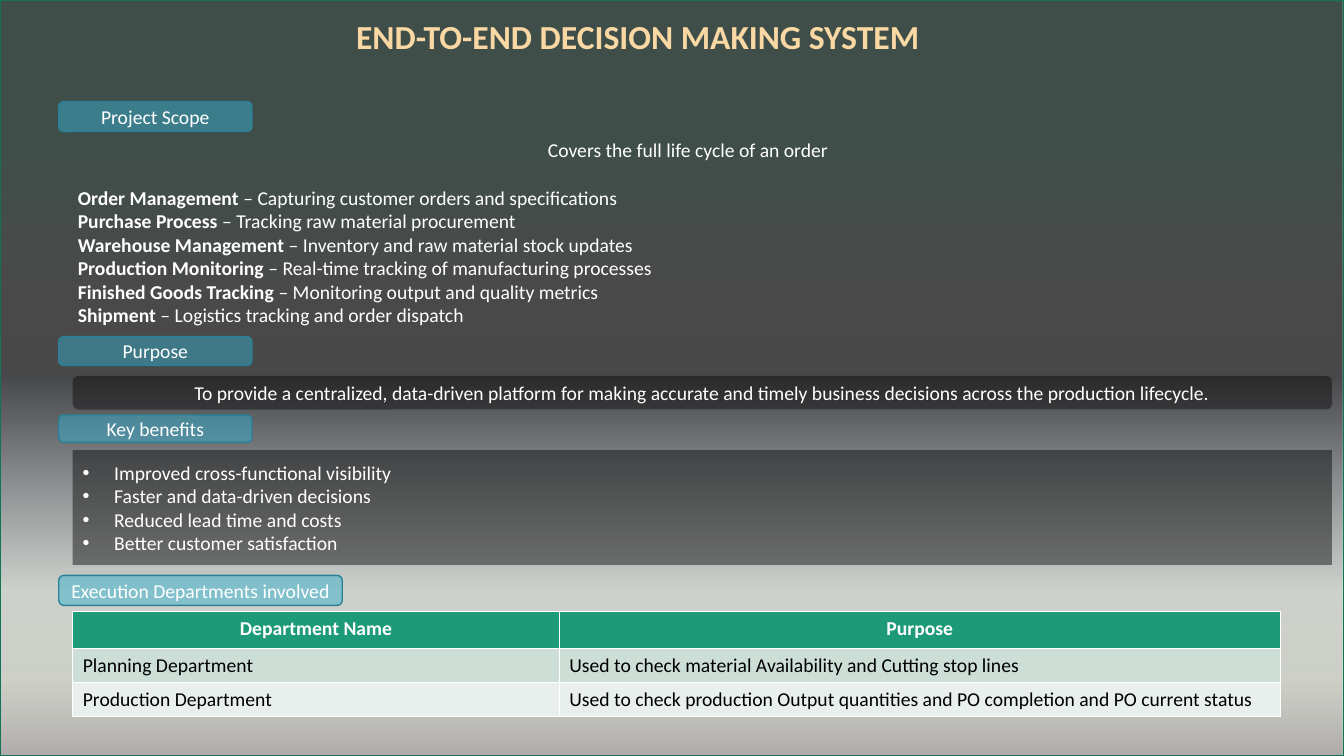
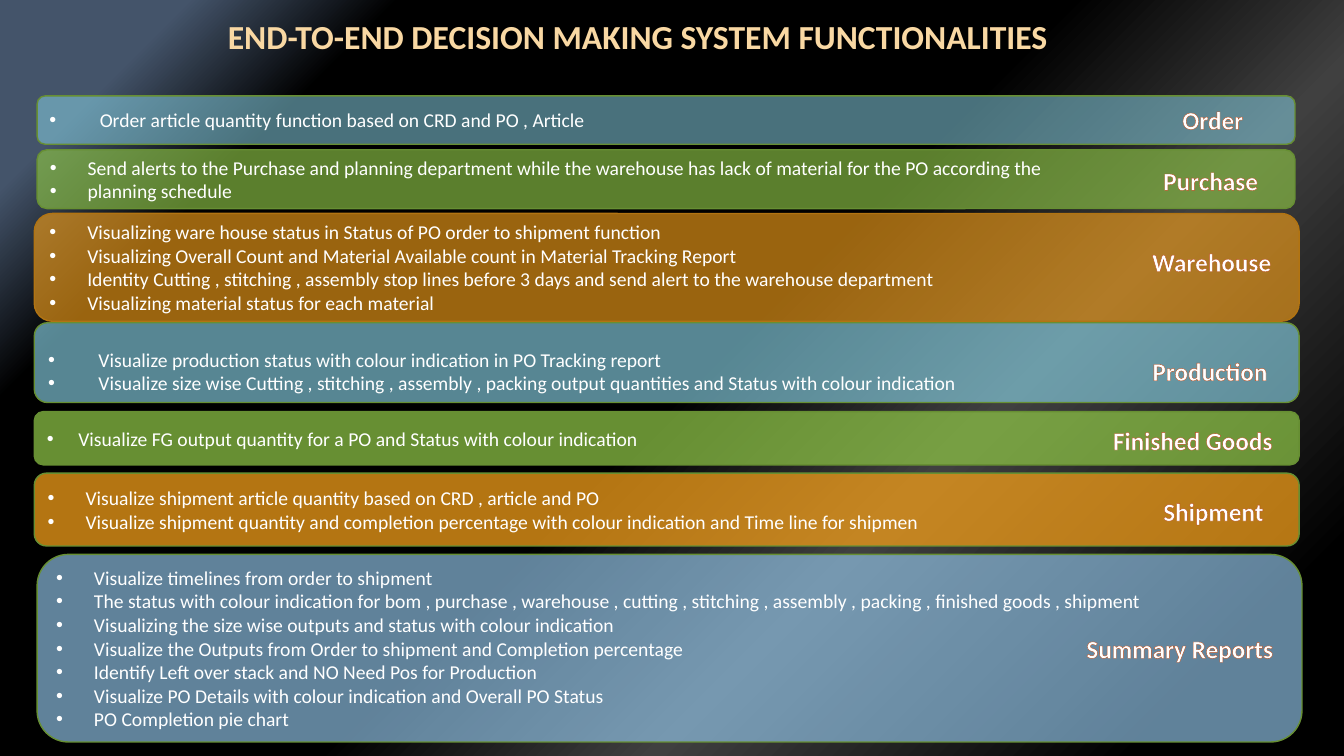
from lxml import etree
from pptx import Presentation
from pptx.dml.color import RGBColor
from pptx.enum.dml import MSO_PATTERN
from pptx.enum.shapes import MSO_SHAPE
from pptx.enum.text import MSO_ANCHOR, MSO_AUTO_SIZE, PP_ALIGN
from pptx.oxml.ns import qn
from pptx.util import Pt

RECT, ROUNDED = MSO_SHAPE.RECTANGLE, MSO_SHAPE.ROUNDED_RECTANGLE
LEFT, CENTER = PP_ALIGN.LEFT, PP_ALIGN.CENTER
TOP, MIDDLE = MSO_ANCHOR.TOP, MSO_ANCHOR.MIDDLE
HATCH = MSO_PATTERN.LIGHT_DOWNWARD_DIAGONAL

FONT = "Calibri"
WHITE, BLACK, CREAM, RED = "FFFFFF", "000000", "F9D8A3", "FF0000"
PILL, PILL_EDGE = "36AFCE", "288198"
HATCH_INK, LABEL_EDGE = "E98960", "B74919"
AQUA, GREEN, AMBER, SKY = "86CFE2", "8BC145", "F19D19", "94C8ED"
GREEN_EDGE, AMBER_EDGE = "678F33", "B27412"
SLIDE_W, SLIDE_H = 960, 540


def paint(fill, colour, alpha=100, circle=False):
    """Fill with one hex colour, a (fore, back) hatch or a list of (position, hex, alpha) stops."""
    if isinstance(colour, str):
        fill.solid()
        fill.fore_color.rgb = RGBColor.from_string(colour)
        if alpha < 100:
            tint = fill._xPr.find(qn("a:solidFill"))[0]
            etree.SubElement(tint, qn("a:alpha"), val=str(alpha * 1000))
    elif isinstance(colour, tuple):
        fill.patterned()
        fill.pattern = HATCH
        fill.fore_color.rgb, fill.back_color.rgb = map(RGBColor.from_string, colour)
    else:
        fill.gradient()
        gradient = fill._xPr.find(qn("a:gradFill"))
        for child in list(gradient):
            gradient.remove(child)
        stops = etree.SubElement(gradient, qn("a:gsLst"))
        for position, tone, opacity in colour:
            stop = etree.SubElement(stops, qn("a:gs"), pos=str(position * 1000))
            tint = etree.SubElement(stop, qn("a:srgbClr"), val=tone)
            etree.SubElement(tint, qn("a:alpha"), val=str(opacity * 1000))
        if circle:
            corner = etree.SubElement(gradient, qn("a:path"), path="circle")
            etree.SubElement(corner, qn("a:fillToRect"), l="100000", t="100000")
        else:
            etree.SubElement(gradient, qn("a:lin"), ang="5400000", scaled="0")


def write(frame, lines, size=14, colour=WHITE, bold=False, align=LEFT, anchor=MIDDLE,
          indent=0, outline=None, outline_width=1, wrap=True):
    """Write one paragraph per line; a (term, text) line starts with a bold term."""
    frame.word_wrap = wrap
    frame.vertical_anchor = anchor
    for number, line in enumerate(lines):
        paragraph = frame.add_paragraph() if number else frame.paragraphs[0]
        paragraph.alignment = align
        if indent:
            properties = paragraph._p.get_or_add_pPr()
            properties.set("marL", str(Pt(indent)))
            properties.set("indent", str(-Pt(indent)))
            etree.SubElement(properties, qn("a:buFont"), typeface="Arial")
            etree.SubElement(properties, qn("a:buChar"), char="•")
        parts = [(line, bold)] if isinstance(line, str) else [(line[0], True), (line[1], False)]
        for text, heavy in parts:
            run = paragraph.add_run()
            run.text = text
            run.font.name, run.font.size, run.font.bold = FONT, Pt(size), heavy
            paint(run.font.fill, colour)
            if outline:
                edge = etree.Element(qn("a:ln"), w=str(Pt(outline_width)))
                solid = etree.SubElement(edge, qn("a:solidFill"))
                etree.SubElement(solid, qn("a:srgbClr"), val=outline)
                run._r.get_or_add_rPr().insert(0, edge)


deck = Presentation()
deck.slide_width, deck.slide_height = Pt(SLIDE_W), Pt(SLIDE_H)

# Both slides: background and title
scope_sky = [(18, "C8F5E8", 28), (40, "E7E6E6", 100), (58, "D6DCE5", 100), (92, "E8F3DA", 100)]
night_sky = [(10, BLACK, 100), (33, "404040", 92), (49, BLACK, 100), (61, BLACK, 100),
             (81, BLACK, 100), (91, "44546A", 100)]
slides = []
for heading, left, width, sky, circle in [
    ("END-TO-END DECISION MAKING SYSTEM", 244, 423, scope_sky, False),
    ("END-TO-END DECISION MAKING SYSTEM FUNCTIONALITIES", 152, 607, night_sky, True),
]:
    slide = deck.slides.add_slide(deck.slide_layouts[5])
    paint(slide.background.fill, sky, circle=circle)
    title = slide.shapes.title
    title.left, title.top, title.width, title.height = Pt(left), Pt(8), Pt(width), Pt(36)
    write(title.text_frame, [heading], size=24, colour=CREAM, bold=True, align=CENTER,
          anchor=TOP, outline=RED, outline_width=0.8, wrap=False)
    title.text_frame.auto_size = MSO_AUTO_SIZE.SHAPE_TO_FIT_TEXT
    slides.append(slide)
overview, functions = slides

# Overview: dark veil behind everything
veil = overview.shapes.add_shape(RECT, 0, 0, Pt(SLIDE_W), Pt(SLIDE_H))
veil.shadow.inherit = False
paint(veil.fill, [(50, BLACK, 67), (78, "BFBFBF", 57), (90, "BEBCBC", 63),
                  (100, "AFABAB", 100), (100, "DBDBDB", 6)])
paint(veil.line.fill, "157259")
veil.line.width = Pt(1)
overview.shapes._spTree.insert(2, veil._element)

# Overview: section pills
for caption, top, width, height, alpha in [
    ("Project Scope", 72.5, 138, 21.5, 49),
    ("Purpose", 240.5, 138, 20.5, 47),
    ("Key benefits", 296.5, 138, 19.5, 49),
    ("Execution Departments involved", 411, 202.5, 21.5, 49),
]:
    pill = overview.shapes.add_shape(ROUNDED, Pt(42), Pt(top), Pt(width), Pt(height))
    pill.shadow.inherit = False
    paint(pill.fill, PILL, alpha)
    paint(pill.line.fill, PILL_EDGE)
    pill.line.width = Pt(1)
    write(pill.text_frame, [caption], align=CENTER)

# Overview: project scope
scope = overview.shapes.add_textbox(Pt(48.5), Pt(96), Pt(886), Pt(140)).text_frame
write(scope, [
    "Covers the full life cycle of an order",
    ("Order Management", " – Capturing customer orders and specifications"),
    ("Purchase Process", " – Tracking raw material procurement"),
    ("Warehouse Management", " – Inventory and raw material stock updates"),
    ("Production Monitoring", " – Real-time tracking of manufacturing processes"),
    ("Finished Goods Tracking", " – Monitoring output and quality metrics"),
    ("Shipment", " – Logistics tracking and order dispatch"),
])
scope.paragraphs[0].alignment = CENTER
scope.paragraphs[0].space_after = Pt(17)

# Overview: purpose and benefits panels
for outline, top, height, alpha, align, indent, lines in [
    (ROUNDED, 268.5, 24, 40, CENTER, 0, [
        "To provide a centralized, data-driven platform for making accurate and timely "
        "business decisions across the production lifecycle."]),
    (RECT, 321.5, 82, 44, LEFT, 22.5, [
        "Improved cross-functional visibility",
        "Faster and data-driven decisions",
        "Reduced lead time and costs",
        "Better customer satisfaction"]),
]:
    panel = overview.shapes.add_shape(outline, Pt(52), Pt(top), Pt(899.5), Pt(height))
    panel.shadow.inherit = False
    paint(panel.fill, BLACK, alpha)
    panel.line.fill.background()
    write(panel.text_frame, lines, align=align, indent=indent)

# Overview: departments table
departments = [
    ("Department Name", "Purpose"),
    ("Planning Department", "Used to check material Availability and Cutting stop lines"),
    ("Production Department",
     "Used to check production Output quantities and PO completion and PO current status"),
]
row_looks = [("1D9A78", 26.5), ("CDDED6", 24), ("E8EFEC", 24)]
table = overview.shapes.add_table(3, 2, Pt(52), Pt(437), Pt(862.5), Pt(74.5)).table
table.columns[0].width, table.columns[1].width = Pt(347.5), Pt(515)
for row, (texts, (shade, height)) in enumerate(zip(departments, row_looks)):
    table.rows[row].height = Pt(height)
    header = row == 0
    for column, text in enumerate(texts):
        cell = table.cell(row, column)
        paint(cell.fill, shade)
        write(cell.text_frame, [text], colour=WHITE if header else BLACK, bold=header,
              align=CENTER if header else LEFT, anchor=TOP)

# Functionalities: one band per stage, as
# (label, label left, top, width, height), (band left, top, width, height),
# (fill, alpha, edge), indent, lines
stages = [
    (("Order", 811.5, 69, 109.5, 32.5), (26.5, 68.5, 898.5, 34.5),
     (AQUA, 55, GREEN_EDGE), 36,
     ["Order article quantity function based on CRD and PO , Article"]),
    (("Purchase", 810, 112.5, 109.5, 32.5), (26.5, 107, 898.5, 42),
     (GREEN, 66, GREEN_EDGE), 27,
     ["Send alerts to the Purchase and planning department while the warehouse has lack of "
      "material for the PO according the",
      "planning schedule"]),
    (("Warehouse", 811.5, 170.5, 108, 32.5), (24.5, 152.5, 903.5, 77),
     (AMBER, 64, AMBER_EDGE), 27,
     ["Visualizing ware house status in Status of PO order to shipment function",
      "Visualizing Overall Count and Material Available count in Material Tracking Report",
      "Identity Cutting , stitching , assembly stop lines before 3 days and send alert to the "
      "warehouse department",
      "Visualizing material status for each material"]),
    (("Production", 809.5, 248.5, 109.5, 32.5), (24.5, 230.5, 903.5, 57),
     (AQUA, 65, GREEN_EDGE), 36,
     ["Visualize production status with colour indication in PO Tracking report",
      "Visualize size wise Cutting , stitching , assembly , packing output quantities and "
      "Status with colour indication"]),
    (("Finished Goods", 768, 295.5, 168, 37.5), (24.5, 294, 903.5, 38),
     (GREEN, 74, GREEN_EDGE), 22.5,
     ["Visualize FG output quantity for a PO and Status with colour indication"]),
    (("Shipment", 812, 350, 109.5, 30), (24.5, 338, 903.5, 52),
     (AMBER, 75, GREEN_EDGE), 27,
     ["Visualize shipment article quantity based on CRD , article and PO",
      "Visualize shipment quantity and completion percentage with colour indication and "
      "Time line for shipmen"]),
    (("Summary Reports", 757, 440, 171.5, 46), (26.5, 396, 903.5, 134),
     (SKY, 65, GREEN_EDGE), 27,
     ["Visualize timelines from order to shipment",
      "The status with colour indication for bom , purchase , warehouse , cutting , stitching "
      ", assembly , packing , finished goods , shipment",
      "Visualizing the size wise outputs and status with colour indication",
      "Visualize the Outputs from Order to shipment and Completion percentage",
      "Identify Left over stack and NO Need Pos for Production",
      "Visualize PO Details with colour indication and Overall PO Status",
      "PO Completion pie chart"]),
]
for (stage, *label_box), band_box, (shade, alpha, edge), indent, lines in stages:
    band = functions.shapes.add_shape(ROUNDED, *map(Pt, band_box))
    band.shadow.inherit = False
    paint(band.fill, shade, alpha)
    paint(band.line.fill, edge)
    band.line.width = Pt(1)
    write(band.text_frame, lines, indent=indent)
    if stage == "Production":  # its lines sit below the middle
        band.text_frame.margin_top = Pt(16)
    label = functions.shapes.add_textbox(*map(Pt, label_box))
    write(label.text_frame, [stage], size=18, colour=(HATCH_INK, WHITE), bold=True,
          align=CENTER, outline=LABEL_EDGE)

deck.save("out.pptx")
